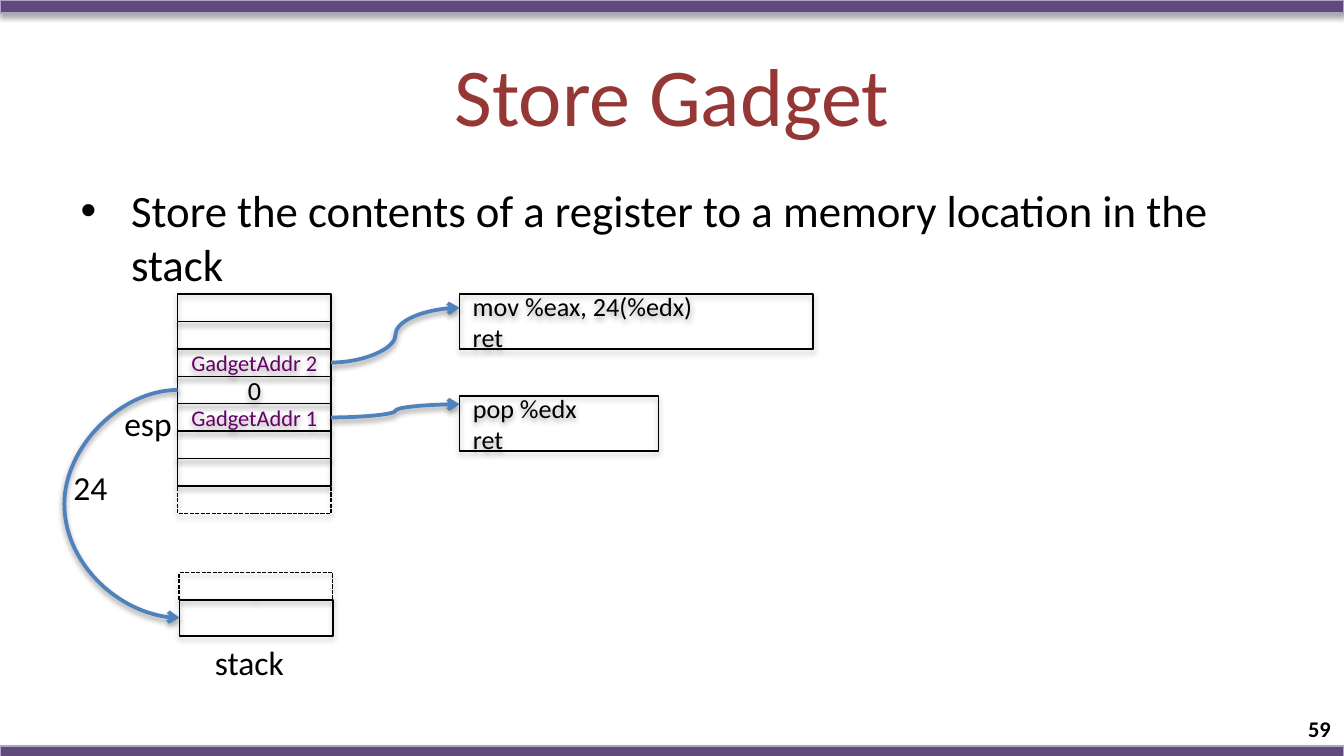
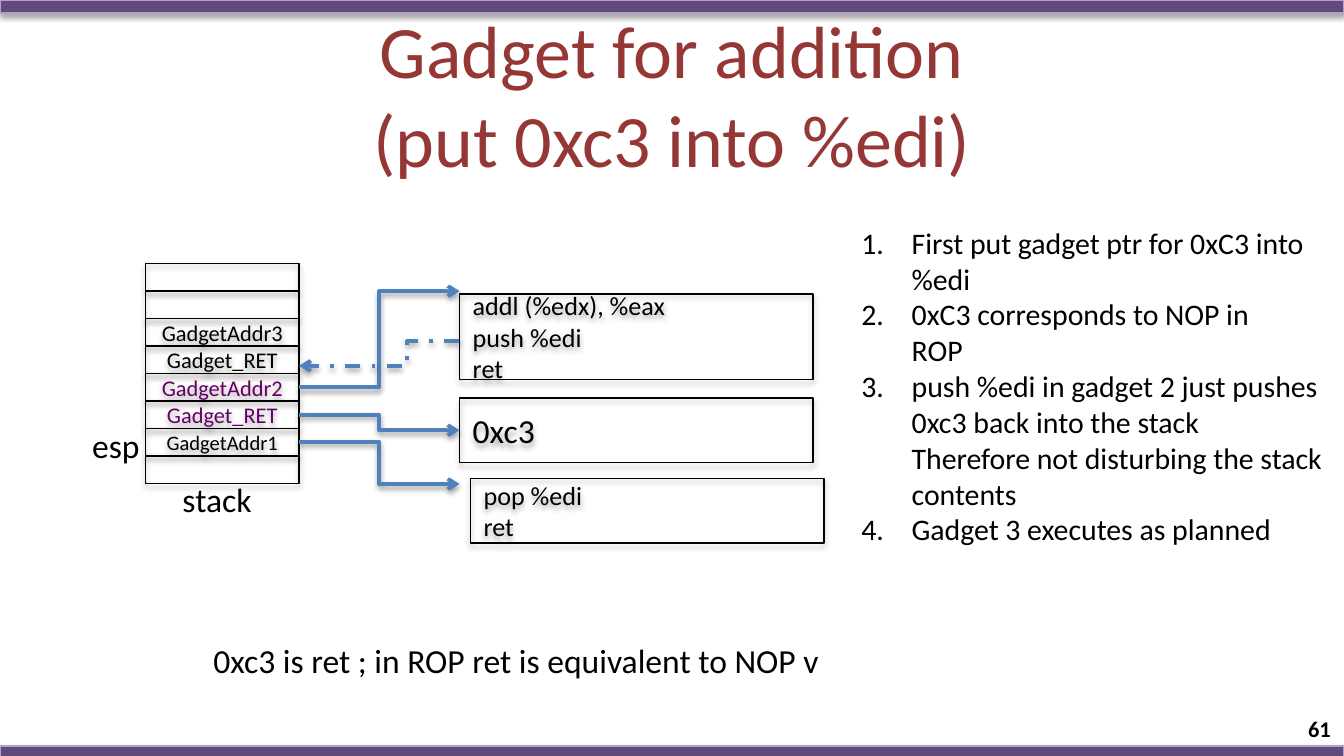
from dataclasses import dataclass

from lxml.etree import SubElement
from pptx import Presentation
from pptx.dml.color import RGBColor
from pptx.enum.dml import MSO_LINE
from pptx.enum.shapes import MSO_CONNECTOR, MSO_SHAPE
from pptx.enum.text import MSO_ANCHOR, MSO_AUTO_SIZE, PP_ALIGN
from pptx.oxml.ns import qn
from pptx.util import Pt


@dataclass(frozen=True)
class Theme:
    font: str = "Calibri"
    band: str = "604A7B"
    edge: str = "B3A2C7"
    title: str = "953735"
    ink: str = "000000"
    jump: str = "660066"
    arrow: str = "4F81BD"
    head: float = 44
    body: float = 24
    label: float = 18
    notes: float = 16
    code: float = 14
    cell: float = 12


T = Theme()
WIDE, HIGH = 720, 405
CELL_W, CELL_H = 82.25, 14.7
CODE_X = 246.2


def rgb(code):
    return RGBColor.from_string(code)


def write(shape, text, size=T.label, color=T.ink, bold=False,
          align=PP_ALIGN.LEFT, anchor=MSO_ANCHOR.TOP,
          wrap=True, fit=MSO_AUTO_SIZE.NONE, side=7.2, bullet=None):
    """Fill a shape: newline starts a paragraph, vertical tab breaks a line."""
    frame = shape.text_frame
    frame.text = text
    frame.word_wrap, frame.auto_size = wrap, fit
    frame.vertical_anchor = anchor
    frame.margin_left = frame.margin_right = Pt(side)
    for para in frame.paragraphs:
        para.alignment = align
        para.space_before = Pt(0)
        for run in para.runs:
            run.font.size, run.font.name = Pt(size), T.font
            run.font.bold = bold
            run.font.color.rgb = rgb(color)
    for gap in shape.element.iter(qn("a:br")):
        SubElement(gap, qn("a:rPr"), sz=str(round(size * 100)))
    if bullet:
        for props in shape.element.iter(qn("a:pPr")):
            props.set("marL", str(Pt(27)))
            props.set("indent", str(Pt(-27)))
            SubElement(props, qn("a:buFont"), typeface="Arial" if bullet == "•" else "+mj-lt")
            if bullet == "•":
                SubElement(props, qn("a:buChar"), char=bullet)
            else:
                SubElement(props, qn("a:buAutoNum"), type=bullet)


def shade(shape, alpha=35):
    """Give a soft shadow straight below; call after the line is set."""
    effects = SubElement(shape.element.spPr, qn("a:effectLst"))
    drop = SubElement(effects, qn("a:outerShdw"), blurRad=str(Pt(3.1)), dist=str(Pt(1.8)),
                      dir="5400000", rotWithShape="0")
    tone = SubElement(drop, qn("a:srgbClr"), val=T.ink)
    SubElement(tone, qn("a:alpha"), val=str(alpha * 1000))


def block(slide, box, fill=None, edge=T.ink, dash=None):
    shape = slide.shapes.add_shape(MSO_SHAPE.RECTANGLE, *map(Pt, box))
    if fill:
        shape.fill.solid()
        shape.fill.fore_color.rgb = rgb(fill)
    else:
        shape.fill.background()
    shape.line.color.rgb = rgb(edge)
    shape.line.width = Pt(0.75)
    if dash:
        shape.line.dash_style = dash
    shade(shape)
    return shape


def label(slide, box, text, **style):
    write(slide.shapes.add_textbox(*map(Pt, box)), text, **style)


def tag(slide, box, text, **style):
    """Add a label that grows with its text."""
    label(slide, box, text, wrap=False, fit=MSO_AUTO_SIZE.SHAPE_TO_FIT_TEXT, **style)


def code(slide, box, text, size=T.code):
    write(block(slide, box), text, size=size, anchor=MSO_ANCHOR.MIDDLE)


def stack(slide, left, top, rows, dashed=()):
    """Pile up cells of (text, colour, size); return the middle of each."""
    for i, (text, color, size) in enumerate(rows):
        dash = MSO_LINE.SQUARE_DOT if i in dashed else None
        cell = block(slide, (left, top + i * CELL_H, CELL_W, CELL_H), dash=dash)
        if text:
            write(cell, text, size=size, color=color, side=0,
                  align=PP_ALIGN.CENTER, anchor=MSO_ANCHOR.MIDDLE)
    return [top + (i + 0.5) * CELL_H for i in range(len(rows))]


def arrow(slide, kind, start, end, turn=None, dash=None):
    """Draw a bent or curved arrow whose middle leg lies at x = turn."""
    link = slide.shapes.add_connector(kind, *map(Pt, start + end))
    link.line.color.rgb = rgb(T.arrow)
    link.line.width = Pt(2)
    if dash:
        link.line.dash_style = dash
    props = link.element.spPr
    SubElement(props.find(qn("a:ln")), qn("a:tailEnd"), type="arrow")
    if turn is not None:
        share = (turn - start[0]) / (end[0] - start[0])
        guides = props.find(qn("a:prstGeom")).find(qn("a:avLst"))
        SubElement(guides, qn("a:gd"), name="adj1", fmla=f"val {round(share * 100000)}")
    shade(link, 38)


def place(holder, box):
    holder.left, holder.top, holder.width, holder.height = map(Pt, box)


def start(deck, layout, title, number, size=T.head):
    """Add a slide with its bands, title and page number."""
    slide = deck.slides.add_slide(deck.slide_layouts[layout])
    for top in (0, 399.6):
        block(slide, (0, top, WIDE, 7), fill=T.band, edge=T.edge)
    place(slide.shapes.title, (36, 16.5, 648, 67.5))
    write(slide.shapes.title, title, size=size, color=T.title,
          align=PP_ALIGN.CENTER, anchor=MSO_ANCHOR.MIDDLE)
    label(slide, (552, 379.5, 168, 21.5), number, size=T.cell, bold=True,
          align=PP_ALIGN.RIGHT, anchor=MSO_ANCHOR.MIDDLE)
    return slide


BLANK = ("", T.ink, T.cell)


def store(deck):
    slide = start(deck, 1, "Store Gadget", "59")
    body = slide.placeholders[1]
    place(body, (36, 94.5, 648, 267))
    write(body, "Store the contents of a register to a memory location in the stack",
          size=T.body, bullet="•")

    left = 95.2
    right = left + CELL_W
    mids = stack(slide, left, 157.5, [
        BLANK, BLANK, ("GadgetAddr 2", T.jump, T.cell), ("0", T.ink, T.code),
        ("GadgetAddr 1", T.jump, T.cell), BLANK, BLANK, BLANK], dashed=(7,))
    stack(slide, left + 0.8, 306.7, [BLANK], dashed=(0,))
    block(slide, (left + 1, 321.4, CELL_W, 19.3))

    code(slide, (CODE_X, 157.5, 189.4, 29.5), "mov %eax, 24(%edx)\nret")
    code(slide, (CODE_X, 212.2, 106.6, 29.5), "pop %edx\nret")
    for row, end in ((2, 164.9), (4, 216.6)):
        arrow(slide, MSO_CONNECTOR.CURVE, (right, mids[row]), (CODE_X, end))
    arrow(slide, MSO_CONNECTOR.CURVE, (left, mids[3]), (left + 1, 331), turn=34)

    tag(slide, (108, 340.6, 52.5, 29), "stack")
    tag(slide, (59.5, 212.2, 40.5, 29), "esp")
    tag(slide, (32.3, 246.5, 33, 29), "24")


def add(deck):
    slide = start(deck, 5, "Gadget for addition\v(put 0xc3 into %edi)", "61", size=39.6)
    left = 78
    right = left + CELL_W
    mids = stack(slide, left, 141.3, [
        BLANK, BLANK, ("GadgetAddr3", T.ink, T.cell), ("Gadget_RET", T.ink, T.cell),
        ("GadgetAddr2", T.jump, T.cell), ("Gadget_RET", T.jump, T.cell),
        ("GadgetAddr1", T.ink, 11), BLANK])

    code(slide, (CODE_X, 157.5, 189.4, 46), "addl (%edx), %eax\npush %edi\nret")
    code(slide, (CODE_X, 213.3, 189.4, 34.6), "0xc3", size=T.label)
    code(slide, (252, 256.3, 189.4, 34.6), "pop %edi\nret")
    for row, end in ((4, 156), (5, 230.5), (6, 259.3)):
        arrow(slide, MSO_CONNECTOR.ELBOW, (right, mids[row]), (CODE_X, end))
    arrow(slide, MSO_CONNECTOR.ELBOW, (CODE_X, 182.7), (right, 196), turn=218.2,
          dash=MSO_LINE.DASH_DOT)

    tag(slide, (90.7, 253.2, 52.5, 29), "stack")
    tag(slide, (42.3, 223.9, 40.5, 29), "esp")
    tag(slide, (107.2, 339.5, 344, 29), "0xc3 is ret ; in ROP ret is equivalent to NOP v")
    tag(slide, (454.3, 116.7, 265.7, 181.5),
        "First put gadget ptr for 0xC3 into\v%edi\n"
        "0xC3 corresponds to NOP in\vROP\n"
        "push %edi in gadget 2 just pushes\v0xc3 back into the stack\v"
        "Therefore not disturbing the stack\vcontents\n"
        "Gadget 3 executes as planned",
        size=T.notes, bullet="arabicPeriod")


def main():
    deck = Presentation()
    deck.slide_width, deck.slide_height = Pt(WIDE), Pt(HIGH)
    store(deck)
    add(deck)
    deck.save("out.pptx")


if __name__ == "__main__":
    main()
